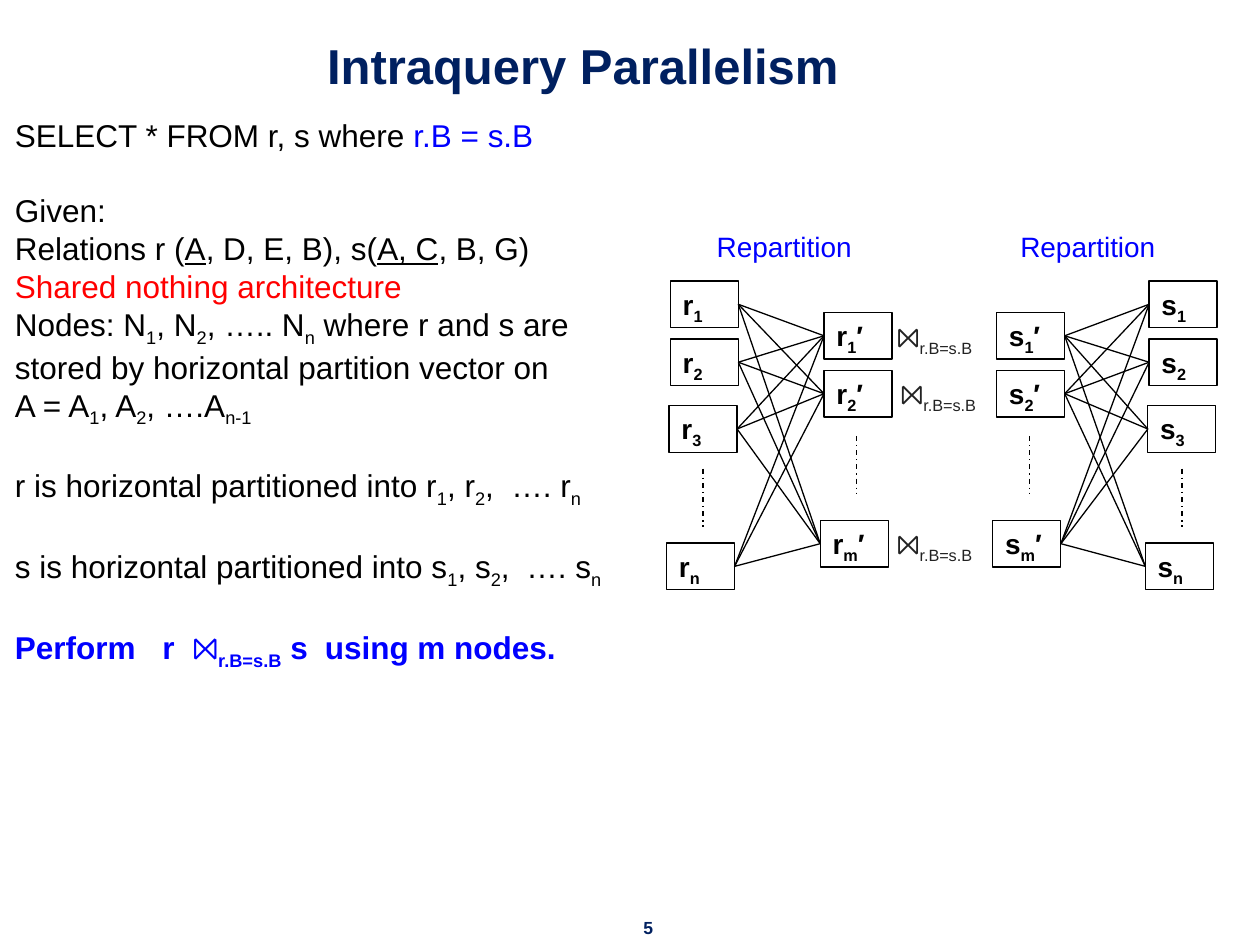
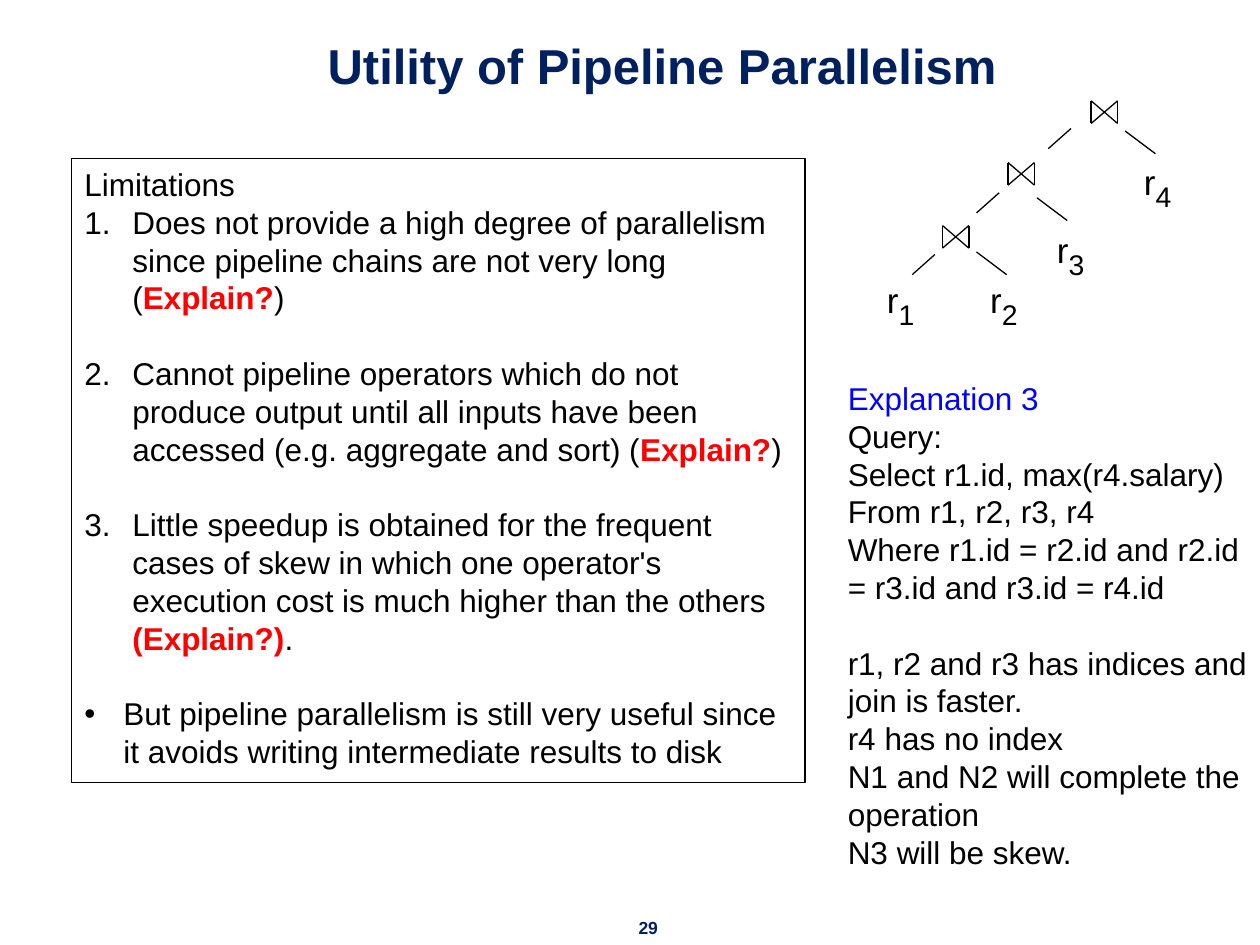
from pptx import Presentation
from pptx.dml.color import RGBColor
from pptx.enum.dml import MSO_LINE
from pptx.enum.shapes import MSO_CONNECTOR, MSO_SHAPE
from pptx.enum.text import MSO_ANCHOR, MSO_AUTO_SIZE, PP_ALIGN
from pptx.oxml.ns import qn
from pptx.util import Inches, Pt
from lxml import etree

NAVY = RGBColor(0x00, 0x20, 0x60)
BLACK = RGBColor(0, 0, 0)
WHITE = RGBColor(0xFF, 0xFF, 0xFF)
BLUE = RGBColor(0, 0, 0xFF)
RED = RGBColor(0xFF, 0, 0)
GREY = RGBColor(0x22, 0x22, 0x22)
FONT = "Arial"
BLANK_LINE = Pt(21.6)


def write(para, text, size=18, color=BLACK, bold=False, underline=False):
    """Append text to a paragraph; parts between bars become subscripts."""
    for index, part in enumerate(text.split("|")):
        if not part:
            continue
        span = para.add_run()
        span.text = part
        font = span.font
        font.name, font.size, font.bold = FONT, Pt(size), bold
        font.color.rgb = color
        if underline:
            font.underline = True
        if index % 2:
            span._r.get_or_add_rPr().set("baseline", "-25000")


def add_line(page, x1, y1, x2, y2):
    line = page.shapes.add_connector(
        MSO_CONNECTOR.STRAIGHT, Inches(x1), Inches(y1), Inches(x2), Inches(y2))
    line.line.color.rgb = BLACK
    line.line.width = Pt(0.75)
    etree.SubElement(line._element.spPr, qn("a:effectLst"))
    return line


deck = Presentation()
deck.slide_width, deck.slide_height = Inches(10), Inches(7.5)

# Titles and page numbers
pages = []
for layout, title, left, width, number in [
    (5, "Intraquery Parallelism", 0, 9.25, "5"),
    (1, "Utility of Pipeline Parallelism", 0.84, 8.83, "29"),
]:
    page = deck.slides.add_slide(deck.slide_layouts[layout])
    heading = page.shapes.title
    heading.left, heading.top = Inches(left), Inches(0.13)
    heading.width, heading.height = Inches(width), Inches(0.67)
    heading.text_frame.auto_size = MSO_AUTO_SIZE.NONE
    heading.text_frame.vertical_anchor = MSO_ANCHOR.BOTTOM
    footer = page.shapes.add_textbox(Inches(4.96), Inches(7.23), Inches(0.37), Inches(0.27))
    for box, text, size in [(heading, title, 28), (footer, number, 10)]:
        para = box.text_frame.paragraphs[0]
        para.alignment = PP_ALIGN.CENTER
        write(para, text, size=size, color=NAVY, bold=True)
    pages.append(page)
join_page, pipeline_page = pages

# Query and givens: (blank line before, tab stops, spans)
query_lines = [
    (False, [], [("SELECT * FROM r, s where ", {}), ("r.B = s.B", {"color": BLUE})]),
    (True, [], [("Given:", {})]),
    (False, [], [("Relations r (", {}), ("A", {"underline": True}), (", D, E, B), s(", {}),
                 ("A, C", {"underline": True}), (", B, G)", {})]),
    (False, [], [("Shared nothing architecture", {"color": RED})]),
    (False, [], [("Nodes: N|1|, N|2|, ….. N|n| where r and s are stored by "
                  "horizontal partition vector on", {})]),
    (False, [], [("A = A|1|, A|2|, ….A|n-1|", {})]),
    (True, [3.94], [("r is horizontal partitioned into r|1|, r|2|,\t…. r|n|", {})]),
    (True, [4.06], [("s is horizontal partitioned into s|1|, s|2|,\t…. s|n|", {})]),
    (True, [1.17, 1.41, 2.46], [("Perform\tr\t⨝|r.B=s.B| s\tusing m nodes.",
                                 {"color": BLUE, "bold": True})]),
]
box = join_page.shapes.add_textbox(Inches(0.02), Inches(0.87), Inches(4.91), Inches(4.61))
frame = box.text_frame
frame.word_wrap = True
for index, (gap, tabs, spans) in enumerate(query_lines):
    para = frame.add_paragraph() if index else frame.paragraphs[0]
    if gap:
        para.space_before = BLANK_LINE
    if tabs:
        tab_list = etree.SubElement(para._p.get_or_add_pPr(), qn("a:tabLst"))
        for stop in tabs:
            etree.SubElement(tab_list, qn("a:tab"), pos=str(Inches(stop)), algn="l")
    for text, style in spans:
        write(para, text, **style)

# Repartition diagram: label, top and leftward drift of each row
source_rows = [("1", 2.23, 0), ("2", 2.69, 0), ("3", 3.22, 0.01), ("n", 4.31, 0.03)]
target_rows = [("1", 2.48, 0), ("2", 2.94, 0), ("m", 4.13, 0.03)]
columns = []
for letter, prime, left, rows, dots_top in [
    ("r", "", 5.32, source_rows, 3.72),
    ("r", "′", 6.54, target_rows, 3.46),
    ("s", "′", 7.91, target_rows, 3.46),
    ("s", "", 9.12, source_rows, 3.72),
]:
    nodes = []
    for label, top, drift in rows:
        node = join_page.shapes.add_shape(
            MSO_SHAPE.RECTANGLE, Inches(left - drift), Inches(top), Inches(0.54), Inches(0.37))
        node.shadow.inherit = False
        node.fill.solid()
        node.fill.fore_color.rgb = WHITE
        node.line.color.rgb = BLACK
        node.line.width = Pt(0.75)
        node.text_frame.vertical_anchor = MSO_ANCHOR.TOP
        para = node.text_frame.paragraphs[0]
        para.alignment = PP_ALIGN.LEFT
        write(para, f"{letter}|{label}|{prime}", size=16, bold=True)
        nodes.append(node)
    columns.append(nodes)
    dots = add_line(join_page, left + 0.26, dots_top, left + 0.26, dots_top + 0.46)
    dots.line.dash_style = MSO_LINE.DASH_DOT

LEFT_SITE, RIGHT_SITE = 1, 3
r_parts, r_targets, s_targets, s_parts = columns
for parts, targets, part_site, target_site in [
    (r_parts, r_targets, RIGHT_SITE, LEFT_SITE),
    (s_parts, s_targets, LEFT_SITE, RIGHT_SITE),
]:
    for part in parts:
        for target in targets:
            edge = add_line(join_page, 0, 0, 1, 1)
            edge.begin_connect(part, part_site)
            edge.end_connect(target, target_site)

for text, left, top, width, color in [
    ("⨝|r.B=s.B|", 7.02, 2.49, 0.95, GREY),
    ("⨝|r.B=s.B|", 7.05, 2.94, 0.95, GREY),
    ("⨝|r.B=s.B|", 7.02, 4.13, 0.95, GREY),
    ("Repartition", 5.59, 1.77, 1.64, BLUE),
    ("Repartition", 8, 1.77, 1.64, BLUE),
]:
    box = join_page.shapes.add_textbox(Inches(left), Inches(top), Inches(width), Inches(0.37))
    box.text_frame.word_wrap = True
    write(box.text_frame.paragraphs[0], text, size=16, color=color)

# Limitations: (bullet, hanging indent, plain text, red text, closing text)
limitations = [
    (None, 0, "Limitations", "", ""),
    ("number", 0.38, "Does not provide a high degree of parallelism since pipeline chains "
     "are not very long (", "Explain?", ")"),
    ("number", 0.38, "Cannot pipeline operators which do not produce output until all inputs "
     "have been accessed (e.g. aggregate and sort) (", "Explain?", ")"),
    ("number", 0.38, "Little speedup is obtained for the frequent cases of skew in which one "
     "operator's execution cost is much higher than the others ", "(Explain?)", "."),
    ("dot", 0.31, "But pipeline parallelism is still very useful since it avoids writing "
     "intermediate results to disk", "", ""),
]
body = pipeline_page.placeholders[1]
body.left, body.top, body.width, body.height = (
    Inches(0.57), Inches(1.26), Inches(5.82), Inches(4.95))
body.line.color.rgb = BLACK
body.line.width = Pt(0.75)
frame = body.text_frame
frame.auto_size = MSO_AUTO_SIZE.NONE
for index, (bullet, indent, plain, warning, closing) in enumerate(limitations):
    para = frame.add_paragraph() if index else frame.paragraphs[0]
    para.space_before = BLANK_LINE if index > 1 else Pt(0)
    props = para._p.get_or_add_pPr()
    props.set("marL", str(Inches(indent)))
    props.set("indent", str(-Inches(indent)))
    if bullet == "number":
        etree.SubElement(props, qn("a:buFont"), typeface="+mj-lt")
        etree.SubElement(props, qn("a:buAutoNum"), type="arabicPeriod")
    elif bullet == "dot":
        etree.SubElement(props, qn("a:buFont"), typeface=FONT)
        etree.SubElement(props, qn("a:buChar"), char="•")
    else:
        etree.SubElement(props, qn("a:buNone"))
    write(para, plain)
    write(para, warning, color=RED, bold=True)
    write(para, closing)

# Join tree: bow ties, branches and relations
TIE_WIDTH, TIE_HEIGHT = 0.21, 0.18
for left, top in [(8.66, 0.8), (8, 1.29), (7.48, 1.79)]:
    right, bottom = left + TIE_WIDTH, top + TIE_HEIGHT
    add_line(pipeline_page, left, top, right, bottom)
    add_line(pipeline_page, left, bottom, right, top)
    for side in (left, right):
        add_line(pipeline_page, side, top, side, bottom)

for x, y in [(8.5, 1.02), (7.93, 1.53), (7.42, 2.02)]:
    add_line(pipeline_page, x, y, x - 0.18, y + 0.16)
for x, y in [(8.93, 1.04), (8.23, 1.57), (7.75, 2)]:
    add_line(pipeline_page, x, y, x + 0.24, y + 0.18)

for label, left, top in [("1", 6.94, 2.05), ("2", 7.76, 2.05), ("3", 8.29, 1.65), ("4", 8.98, 1.11)]:
    box = pipeline_page.shapes.add_textbox(Inches(left), Inches(top), Inches(0.58), Inches(0.44))
    box.text_frame.word_wrap = True
    para = box.text_frame.paragraphs[0]
    write(para, "r", size=20)
    write(para, f"|{label}|", size=28)

# Explanation
explanation = [
    "Explanation 3",
    "Query:",
    "Select r1.id, max(r4.salary)",
    "From r1, r2, r3, r4",
    "Where r1.id = r2.id and r2.id = r3.id and r3.id = r4.id",
    "r1, r2 and r3 has indices and join is faster.",
    "r4 has no index",
    "N1 and N2 will complete the operation",
    "N3 will be skew.",
]
box = pipeline_page.shapes.add_textbox(Inches(6.63), Inches(2.96), Inches(3.38), Inches(4.04))
frame = box.text_frame
frame.word_wrap = True
for index, text in enumerate(explanation):
    para = frame.add_paragraph() if index else frame.paragraphs[0]
    if text.startswith("r1,"):
        para.space_before = BLANK_LINE
    write(para, text, color=BLACK if index else BLUE)

deck.save("out.pptx")
